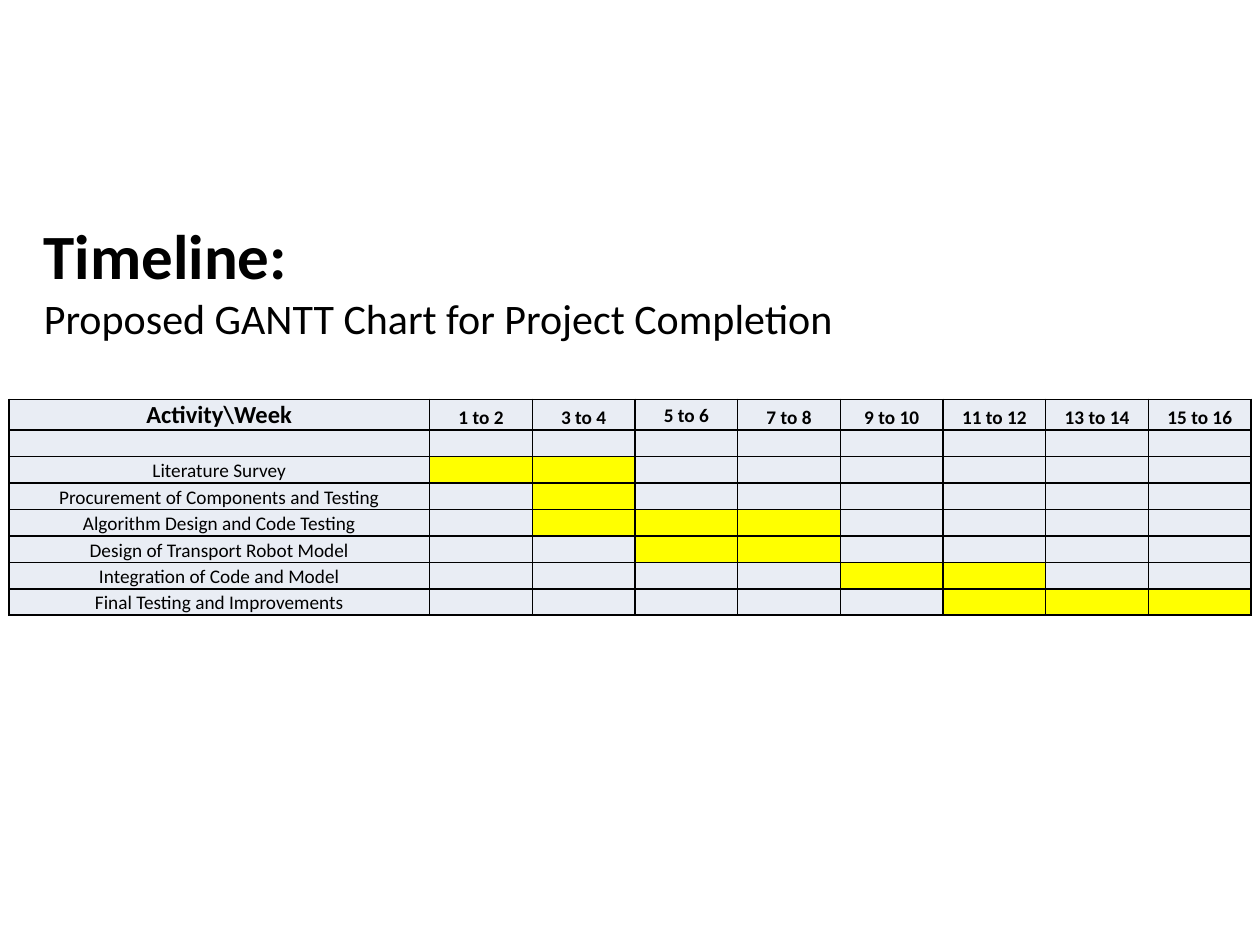
from lxml import etree
from pptx import Presentation, util as u
from pptx.dml import color
from pptx.enum import text
from pptx.oxml import ns

# Content: each activity lists the week columns it fills
HEADING = "Timeline:"
SUBHEADING = "Proposed GANTT Chart for Project Completion"
CORNER = "Activity\\Week"
WEEKS = [f"{start} to {start + 1}" for start in range(1, 16, 2)]
RAISED_WEEK = "5 to 6"
ACTIVITIES = [
    ("", ()),
    ("Literature Survey", (1, 2)),
    ("Procurement of Components and Testing", (2,)),
    ("Algorithm Design and Code Testing", (2, 3, 4)),
    ("Design of Transport Robot Model", (3, 4)),
    ("Integration of Code and Model", (5, 6)),
    ("Final Testing and Improvements", (6, 7, 8)),
]

THEME = {
    "font": "Calibri", "ink": "000000", "cell": "E9EDF4", "bar": "FFFF00",
    "heading": 36, "subheading": 24, "corner": 14, "body": 11, "border": 1,
}

# Layout in inches
WIDTH, HEIGHT = 10, 7.5
MARGIN = 0.07
ACTIVITY_WIDTH = 3.34
WEEK_WIDTH = (WIDTH - 2 * MARGIN - ACTIVITY_WIDTH) / len(WEEKS)
GANTT_TOP, ROW_HEIGHT = 3.17, 0.21


def add_run(paragraph, words, size, bold=False):
    run = paragraph.add_run()
    run.text = words
    run.font.name = THEME["font"]
    run.font.size = u.Pt(size)
    run.font.bold = bold
    run.font.color.rgb = color.RGBColor.from_string(THEME["ink"])


def add_borders(cell):
    properties = cell._tc.get_or_add_tcPr()
    for side in ("lnL", "lnR", "lnT", "lnB"):
        line = etree.SubElement(properties, ns.qn(f"a:{side}"), w=str(u.Pt(THEME["border"])))
        fill = etree.SubElement(line, ns.qn("a:solidFill"))
        etree.SubElement(fill, ns.qn("a:srgbClr"), val=THEME["ink"])


def fill_cell(cell, words="", size=THEME["body"], bold=False, bar=False):
    add_borders(cell)
    cell.fill.solid()
    cell.fill.fore_color.rgb = color.RGBColor.from_string(THEME["bar" if bar else "cell"])
    cell.margin_left = cell.margin_right = cell.margin_top = u.Inches(0.01)
    cell.margin_bottom = 0
    middle = words == RAISED_WEEK
    cell.vertical_anchor = text.MSO_ANCHOR.MIDDLE if middle else text.MSO_ANCHOR.BOTTOM
    paragraph = cell.text_frame.paragraphs[0]
    paragraph.alignment = text.PP_ALIGN.CENTER
    if words:
        add_run(paragraph, words, size, bold)
    else:  # keeps an empty row at its set height
        etree.SubElement(paragraph._p, ns.qn("a:endParaRPr"), sz=str(size * 100))


def add_title(slide):
    title = slide.shapes.add_textbox(
        u.Inches(WIDTH * 0.025), u.Inches(1.67), u.Inches(WIDTH * 0.95), u.Inches(1.11)
    ).text_frame
    title.word_wrap = True
    add_run(title.paragraphs[0], HEADING, THEME["heading"], bold=True)
    add_run(title.add_paragraph(), SUBHEADING, THEME["subheading"])


def add_gantt(slide):
    row_count = len(ACTIVITIES) + 1
    gantt = slide.shapes.add_table(
        row_count, len(WEEKS) + 1, u.Inches(MARGIN), u.Inches(GANTT_TOP),
        u.Inches(WIDTH - 2 * MARGIN), u.Inches(ROW_HEIGHT * row_count)
    ).table
    for index, column in enumerate(gantt.columns):
        column.width = u.Inches(WEEK_WIDTH if index else ACTIVITY_WIDTH)
    for row in gantt.rows:
        row.height = u.Inches(ROW_HEIGHT)

    # Header row
    fill_cell(gantt.cell(0, 0), CORNER, THEME["corner"], bold=True)
    for column, week in enumerate(WEEKS, 1):
        fill_cell(gantt.cell(0, column), week, bold=True)

    # Activity rows
    for row, (activity, busy) in enumerate(ACTIVITIES, 1):
        fill_cell(gantt.cell(row, 0), activity)
        for column in range(1, len(WEEKS) + 1):
            fill_cell(gantt.cell(row, column), bar=column in busy)


def main():
    deck = Presentation()
    deck.slide_width, deck.slide_height = u.Inches(WIDTH), u.Inches(HEIGHT)
    slide = deck.slides.add_slide(deck.slide_layouts[6])
    add_title(slide)
    add_gantt(slide)
    deck.save("out.pptx")


if __name__ == "__main__":
    main()
